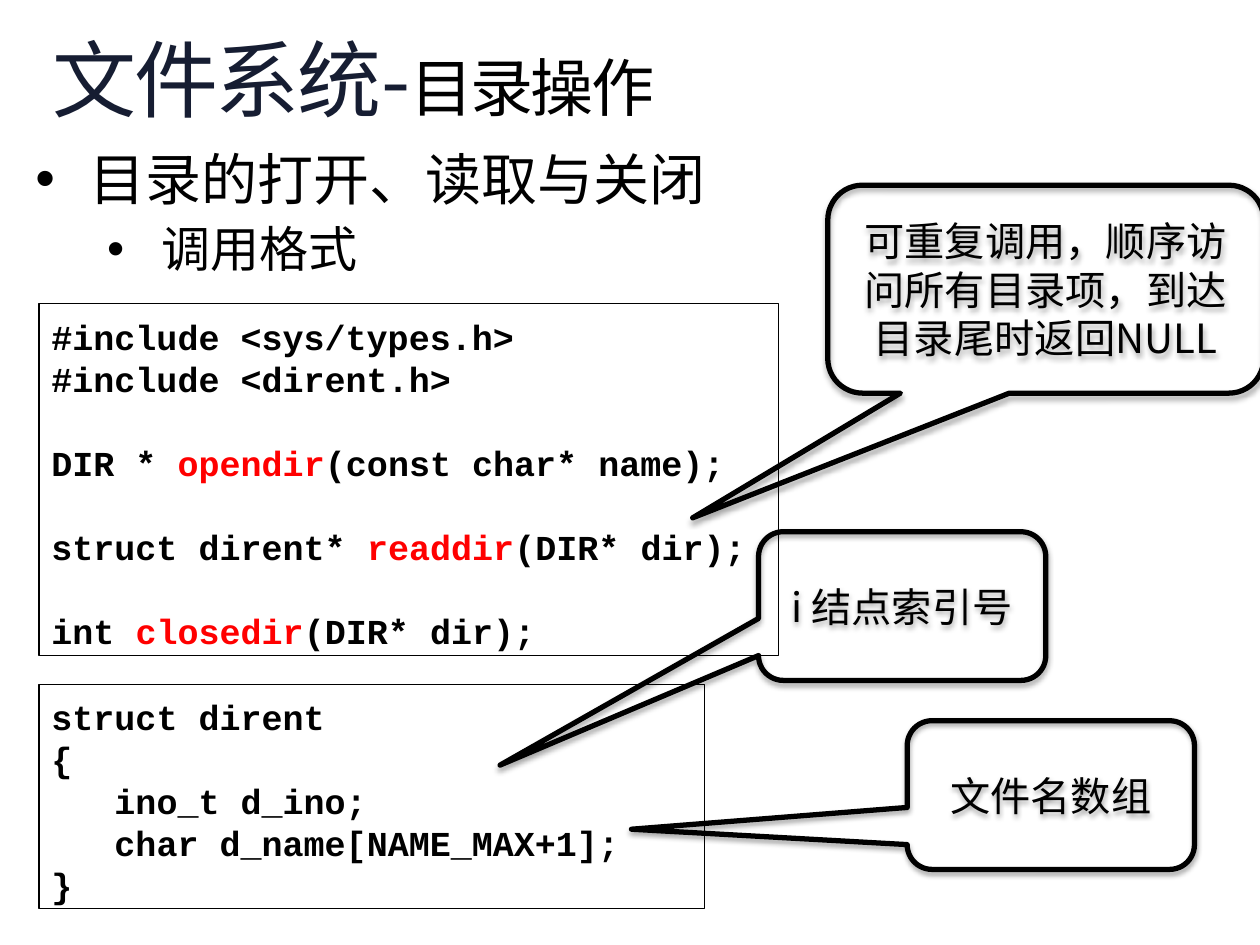
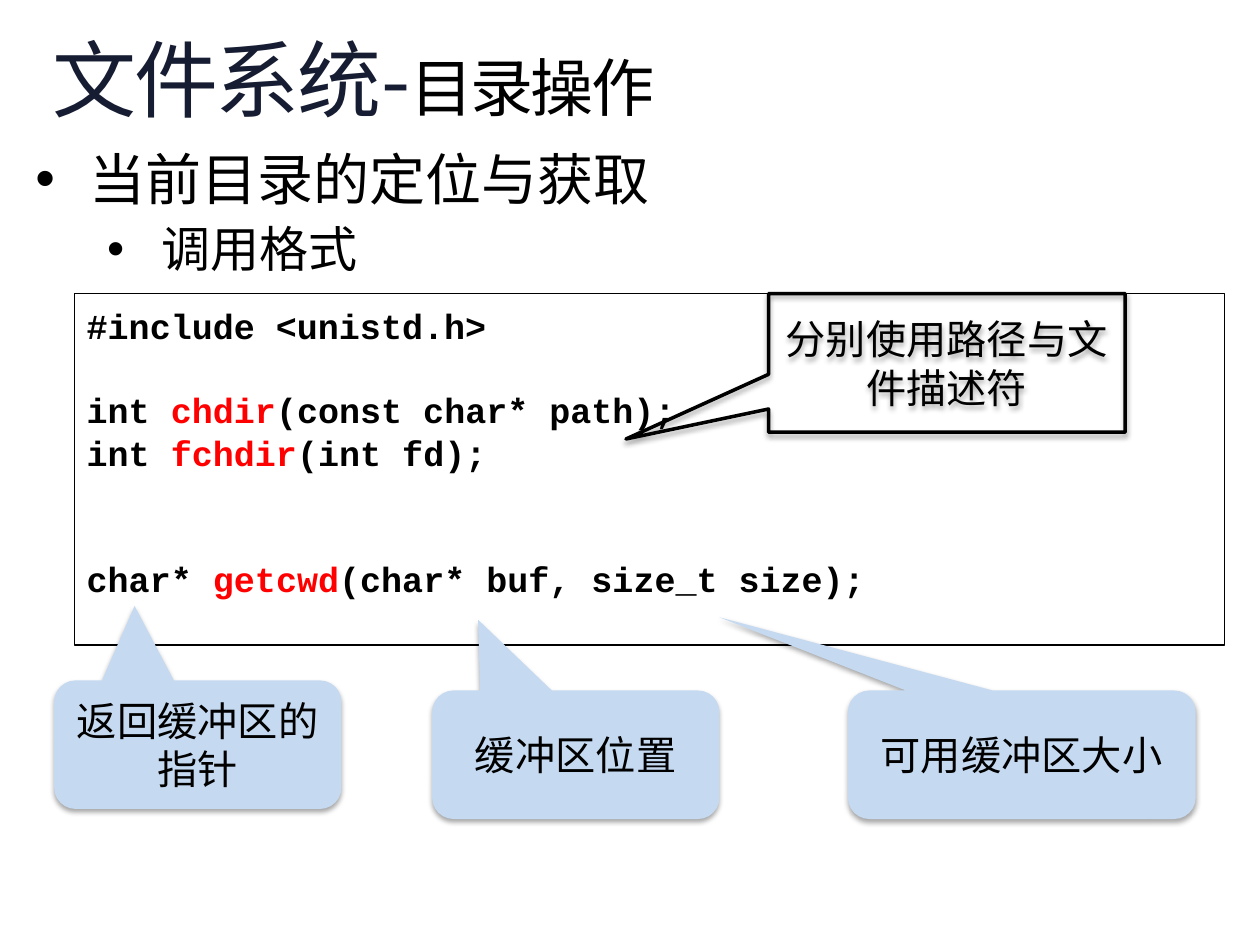
from lxml.etree import SubElement
from pptx import Presentation
from pptx.dml.color import RGBColor
from pptx.enum.shapes import MSO_SHAPE
from pptx.enum.text import MSO_ANCHOR, PP_ALIGN
from pptx.oxml import parse_xml
from pptx.oxml.ns import nsdecls, qn
from pptx.util import Inches, Pt

BLACK = RGBColor(0x00, 0x00, 0x00)
NAVY = RGBColor(0x16, 0x1D, 0x32)
RED = RGBColor(0xFF, 0x00, 0x00)
PALE_BLUE = RGBColor(0xC5, 0xDA, 0xF1)
SANS = "Noto Sans CJK SC"
MONO = "Courier New"
CODE_LINE = 24
ROUND = MSO_SHAPE.ROUNDED_RECTANGULAR_CALLOUT
SQUARE = MSO_SHAPE.RECTANGULAR_CALLOUT
SHADOW = (
    f'<a:effectLst {nsdecls("a")}><a:outerShdw blurRad="39370" dist="22860" dir="5400000" '
    'rotWithShape="0"><a:srgbClr val="000000"><a:alpha val="35000"/></a:srgbClr>'
    "</a:outerShdw></a:effectLst>"
)

deck = Presentation()
deck.slide_width, deck.slide_height = Inches(10), Inches(7.5)
COLUMN = deck.slide_width / 100
ROW = deck.slide_height / 75

TITLE_AREA = (4.2, 2.5, 91.7, 8.2)
BODY_AREA = (2.8, 11.5, 96.1, 35.9)
TITLE_PARTS = [("文件系统-", 48, NAVY), ("目录操作", 36, BLACK)]
BULLET_LEVELS = [(32, 0.43, 35, 0), (28, 1, 30, 8)]

SLIDES = [
    {
        "topics": ["目录的打开、读取与关闭", "调用格式"],
        "listings": [
            ((3.1, 24.1, 58.7, 27.9), [
                "#include <sys/types.h>",
                "#include <dirent.h>",
                "",
                "DIR * |opendir|(const char* name);",
                "",
                "struct dirent* |readdir|(DIR* dir);",
                "",
                "int |closedir|(DIR* dir);",
            ]),
            ((3.1, 54.3, 52.8, 17.8), [
                "struct dirent",
                "{",
                "   ino_t d_ino;",
                "   char d_name[NAME_MAX+1];",
                "}",
            ]),
        ],
        "remarks": [
            (ROUND, (65.7, 14.7, 34.6, 16.5), (-0.81, 1.1), 3,
             "可重复调用，顺序访问所有目录项，到达目录尾时返回NULL"),
            (ROUND, (60.2, 42.2, 22.8, 11.8), (-1.4, 1.07), 3, "i 结点索引号"),
            (ROUND, (72, 57.2, 22.8, 11.8), (-1.46, 0.23), 3, "文件名数组"),
        ],
    },
    {
        "topics": ["当前目录的定位与获取", "调用格式"],
        "listings": [
            ((5.9, 23.3, 91.3, 27.9), [
                "#include <unistd.h>",
                "",
                "int |chdir|(const char* path);",
                "int |fchdir|(int fd);",
                "",
                "",
                "char* |getcwd|(char* buf, size_t size);",
            ]),
        ],
        "remarks": [
            (SQUARE, (61, 23.3, 28.3, 11), (-0.9, 0.55), 2, "分别使用路径与文件描述符"),
            (ROUND, (34.3, 54.8, 22.8, 10.2), (-0.34, -1.05), 0, "缓冲区位置"),
            (ROUND, (67.3, 54.8, 27.6, 10.2), (-0.87, -1.07), 0, "可用缓冲区大小"),
            (ROUND, (4.3, 54, 22.8, 10.2), (-0.22, -1.08), 0, "返回缓冲区的指针"),
        ],
    },
]


def grid(area):
    left, top, width, height = area
    return round(left * COLUMN), round(top * ROW), round(width * COLUMN), round(height * ROW)


def write(paragraph, text, size, color, face=SANS, bold=False):
    run = paragraph.add_run()
    run.text = text
    run.font.size = Pt(size)
    run.font.bold = bold
    run.font.color.rgb = color
    run.font.name = face
    SubElement(run.font._element, qn("a:ea")).set("typeface", face)
    return run


for content in SLIDES:
    slide = deck.slides.add_slide(deck.slide_layouts[1])
    heading, outline = slide.shapes.title, slide.placeholders[1]
    for holder, area in ((heading, TITLE_AREA), (outline, BODY_AREA)):
        holder.left, holder.top, holder.width, holder.height = grid(area)
        frame = holder.text_frame
        frame.margin_left = frame.margin_right = frame.margin_top = frame.margin_bottom = 0
    heading.text_frame.vertical_anchor = MSO_ANCHOR.MIDDLE
    outline.text_frame.margin_top = Inches(0.04)

    title_line = heading.text_frame.paragraphs[0]
    title_line.alignment = PP_ALIGN.LEFT
    title_line.line_spacing = Pt(52)
    for text, size, color in TITLE_PARTS:
        write(title_line, text, size, color).font._element.set("spc", "-150")

    for level, (topic, style) in enumerate(zip(content["topics"], BULLET_LEVELS)):
        size, indent, line_height, gap = style
        frame = outline.text_frame
        item = frame.add_paragraph() if level else frame.paragraphs[0]
        item.level = level
        properties = item._p.get_or_add_pPr()
        properties.set("marL", str(Inches(indent)))
        properties.set("indent", str(Inches(-0.43)))
        SubElement(properties, qn("a:buFont")).set("typeface", "Arial")
        SubElement(properties, qn("a:buChar")).set("char", "•")
        item.line_spacing = Pt(line_height)
        item.space_before = Pt(gap)
        write(item, topic, size, BLACK)

    for area, code_lines in content["listings"]:
        listing = slide.shapes.add_shape(MSO_SHAPE.RECTANGLE, *grid(area))
        listing.shadow.inherit = False
        listing.fill.background()
        listing.line.color.rgb = BLACK
        listing.line.width = Pt(0.75)
        frame = listing.text_frame
        frame.word_wrap = True
        frame.vertical_anchor = MSO_ANCHOR.TOP
        frame.margin_top = Inches(0.09)
        skipped = 0
        for number, code in enumerate(code_lines):
            if not code:
                skipped += 1
                continue
            code_line = frame.add_paragraph() if number else frame.paragraphs[0]
            code_line.alignment = PP_ALIGN.LEFT
            code_line.line_spacing = Pt(CODE_LINE)
            code_line.space_before = Pt(CODE_LINE * skipped)
            skipped = 0
            for position, part in enumerate(code.split("|")):
                write(code_line, part, 20, RED if position % 2 else BLACK, MONO, True)

    for outline_kind, area, tip, border, text in content["remarks"]:
        remark = slide.shapes.add_shape(outline_kind, *grid(area))
        remark.adjustments[0], remark.adjustments[1] = tip
        if border:
            remark.fill.background()
            remark.line.color.rgb = BLACK
            remark.line.width = Pt(border)
        else:
            remark.fill.solid()
            remark.fill.fore_color.rgb = PALE_BLUE
            remark.line.fill.background()
        remark._element.spPr.append(parse_xml(SHADOW))
        frame = remark.text_frame
        frame.word_wrap = True
        frame.vertical_anchor = MSO_ANCHOR.MIDDLE
        sentence = frame.paragraphs[0]
        sentence.alignment = PP_ALIGN.CENTER
        sentence.line_spacing = Pt(27.6)
        write(sentence, text, 23, BLACK)

deck.save("out.pptx")
